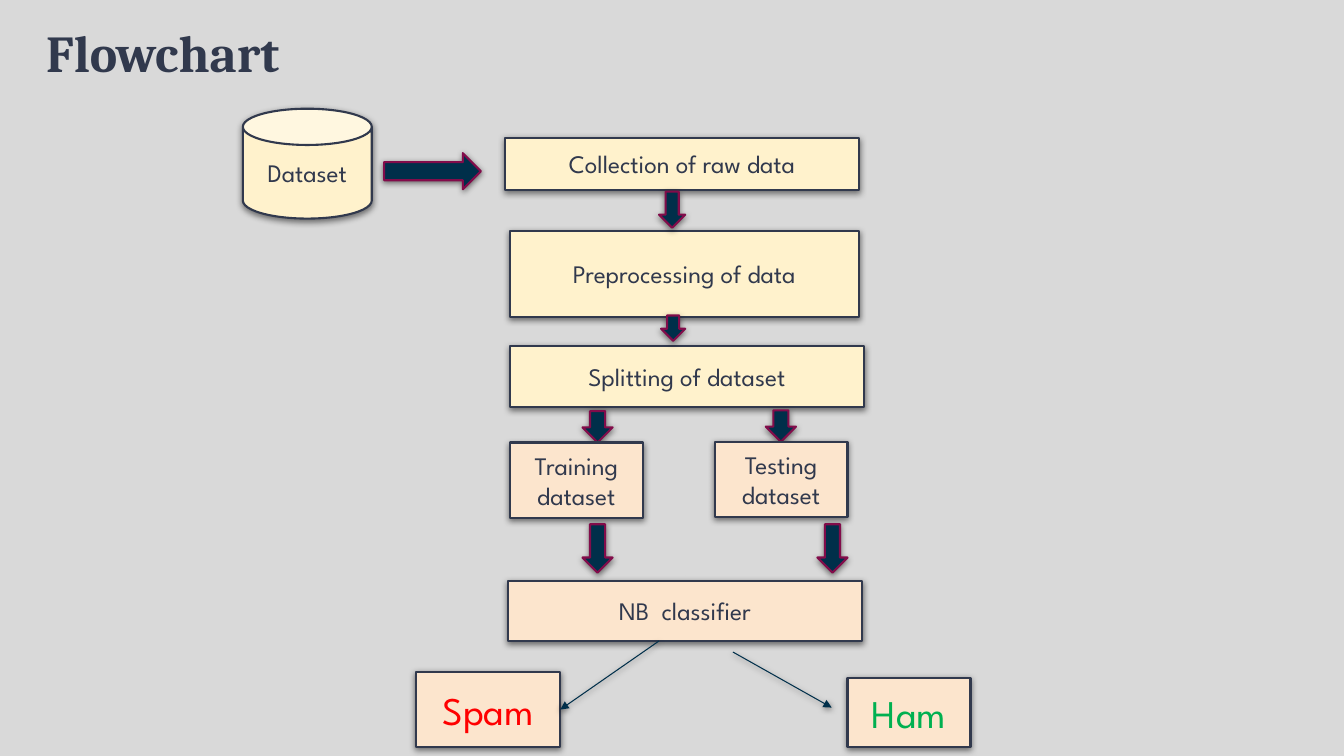
import pptx
import pptx.util
import pptx.dml.color
import pptx.enum.shapes
import pptx.enum.text
import pptx.oxml
from pptx.oxml.ns import nsdecls, qn

Cm, Pt = pptx.util.Cm, pptx.util.Pt
SHAPE = pptx.enum.shapes.MSO_SHAPE
INK, NAVY, WINE = "31394D", "002F4A", "820C4A"
CREAM, PEACH = "FFF2CC", "FCE5CD"


def color(value):
    return pptx.dml.color.RGBColor.from_string(value)


def add_shadow(sp):
    effects = pptx.oxml.parse_xml(
        f'<a:effectLst {nsdecls("a")}>'
        '<a:outerShdw blurRad="57150" dist="19050" dir="5400000" algn="bl" rotWithShape="0">'
        '<a:srgbClr val="000000"><a:alpha val="50000"/></a:srgbClr>'
        '</a:outerShdw></a:effectLst>')
    sp._element.spPr.append(effects)


def format_text(tf, size, font, ink, align, bold=False):
    tf.word_wrap = True
    tf.vertical_anchor = pptx.enum.text.MSO_ANCHOR.MIDDLE
    for p in tf.paragraphs:
        p.alignment = align
        for r in p.runs:
            r.font.size = Pt(size)
            r.font.name = font
            r.font.bold = bold
            r.font.color.rgb = color(ink)


def add_figure(s, kind, x, y, w, h, fill, line):
    sp = s.shapes.add_shape(kind, Cm(x), Cm(y), Cm(w), Cm(h))
    sp.fill.solid()
    sp.fill.fore_color.rgb = color(fill)
    sp.line.color.rgb = color(line)
    sp.line.width = Pt(1.5)
    add_shadow(sp)
    return sp


def add_box(s, text, x, y, w, h, fill, size=18, ink=INK, kind=SHAPE.RECTANGLE):
    sp = add_figure(s, kind, x, y, w, h, fill, INK)
    sp.text_frame.text = text
    format_text(sp.text_frame, size, "League Spartan", ink,
                pptx.enum.text.PP_ALIGN.CENTER)
    return sp


def add_arrow(s, x, y, w, h, kind=SHAPE.DOWN_ARROW):
    return add_figure(s, kind, x, y, w, h, NAVY, WINE)


def add_link(s, x1, y1, x2, y2):
    link = s.shapes.add_connector(pptx.enum.shapes.MSO_CONNECTOR.STRAIGHT,
                                  Cm(x1), Cm(y1), Cm(x2), Cm(y2))
    link.line.color.rgb = color(NAVY)
    link.line.width = Pt(0.75)
    ln = link._element.spPr.find(qn("a:ln"))
    ln.append(pptx.oxml.parse_xml(f'<a:tailEnd {nsdecls("a")} type="triangle"/>'))
    add_shadow(link)
    return link


def add_title(s, x, y, w, h):
    sp = s.shapes.title
    sp.left, sp.top, sp.width, sp.height = Cm(x), Cm(y), Cm(w), Cm(h)
    sp.text_frame.text = "Flowchart"
    format_text(sp.text_frame, 37, "Cambria", INK,
                pptx.enum.text.PP_ALIGN.LEFT, bold=True)


def add_source(s, x, y, w, h):
    can = add_box(s, "Dataset", x, y, 3.25, h, CREAM, kind=SHAPE.CAN)
    can.adjustments[0] = 0.33
    add_arrow(s, x + w - 2.44, y + 1.12, 2.44, 0.91, SHAPE.RIGHT_ARROW)


def add_steps(s, x, y, w):
    # Label, left offset, top offset, right inset, height
    steps = [("Collection of raw data", 0, 0, 0.12, 1.3),
             ("Preprocessing of data", 0.12, 2.34, 0.13, 2.16),
             ("Splitting of dataset", 0.12, 5.23, 0, 1.55)]
    for label, dx, dy, inset, h in steps:
        add_box(s, label, x + dx, y + dy, w - dx - inset, h, CREAM)
    add_arrow(s, x + 3.88, y + 1.35, 0.66, 0.91)
    add_arrow(s, x + 3.93, y + 4.47, 0.61, 0.64)


def add_branches(s, x, y):
    # Label, box offset, top offset, arrow offsets above and below
    branches = [("Training dataset", 0, 0.02, 1.83, 1.83),
                ("Testing dataset", 5.16, 0, 6.45, 7.75)]
    for label, dx, dy, above, below in branches:
        add_arrow(s, x + above, y + dy, 0.76, 0.79)
        add_box(s, label, x + dx, y + dy + 0.79, 3.35, 1.91, PEACH)
        add_arrow(s, x + below, y + 2.87, 0.76, 1.22)


def add_outcome(s, x, y, w, h):
    add_box(s, "NB  classifier", x + 2.31, y, 8.92, 1.52, PEACH)
    spam = add_box(s, "Spam", x, y + h - 1.88, 3.63, 1.88, PEACH, 28, "FF0000")
    add_box(s, "Ham", x + w - 3.1, y + h - 1.73, 3.1, 1.73, PEACH, 28, "00B050")
    link = add_link(s, x + 6.12, y + 1.52, x + 3.63, y + h - 0.94)
    link.end_connect(spam, 3)
    add_link(s, x + 7.98, y + 1.8, x + 10.47, y + 3.2)


def main():
    prs = pptx.Presentation()
    prs.slide_width, prs.slide_height = Cm(33.87), Cm(19.05)
    s = prs.slides.add_slide(prs.slide_layouts[5])
    s.background.fill.solid()
    s.background.fill.fore_color.rgb = color("D9D9D9")

    add_title(s, 0.91, 0.23, 9.55, 2.16)
    add_source(s, 6.12, 2.74, 6, 2.77)
    add_steps(s, 12.73, 3.48, 9.04)
    add_branches(s, 12.85, 10.34)
    add_outcome(s, 10.49, 14.63, 13.97, 4.19)

    prs.save("out.pptx")


if __name__ == "__main__":
    main()
